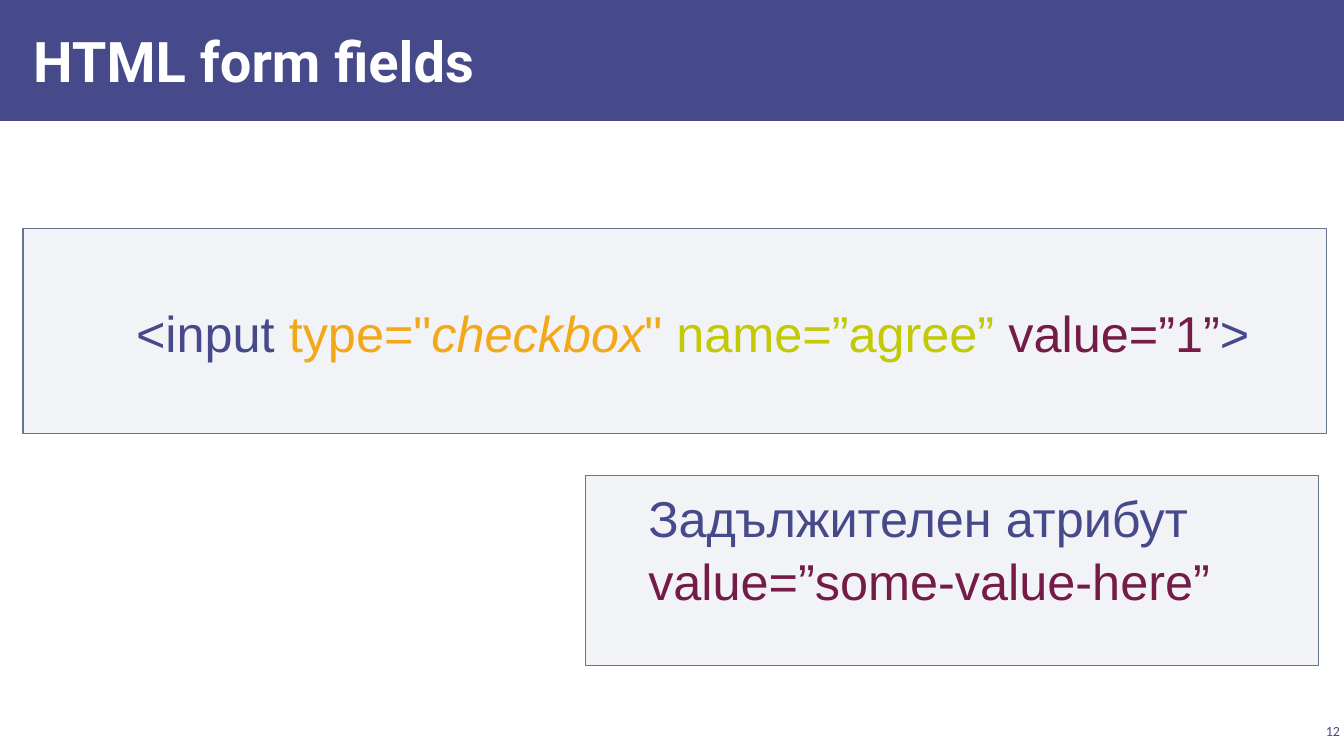
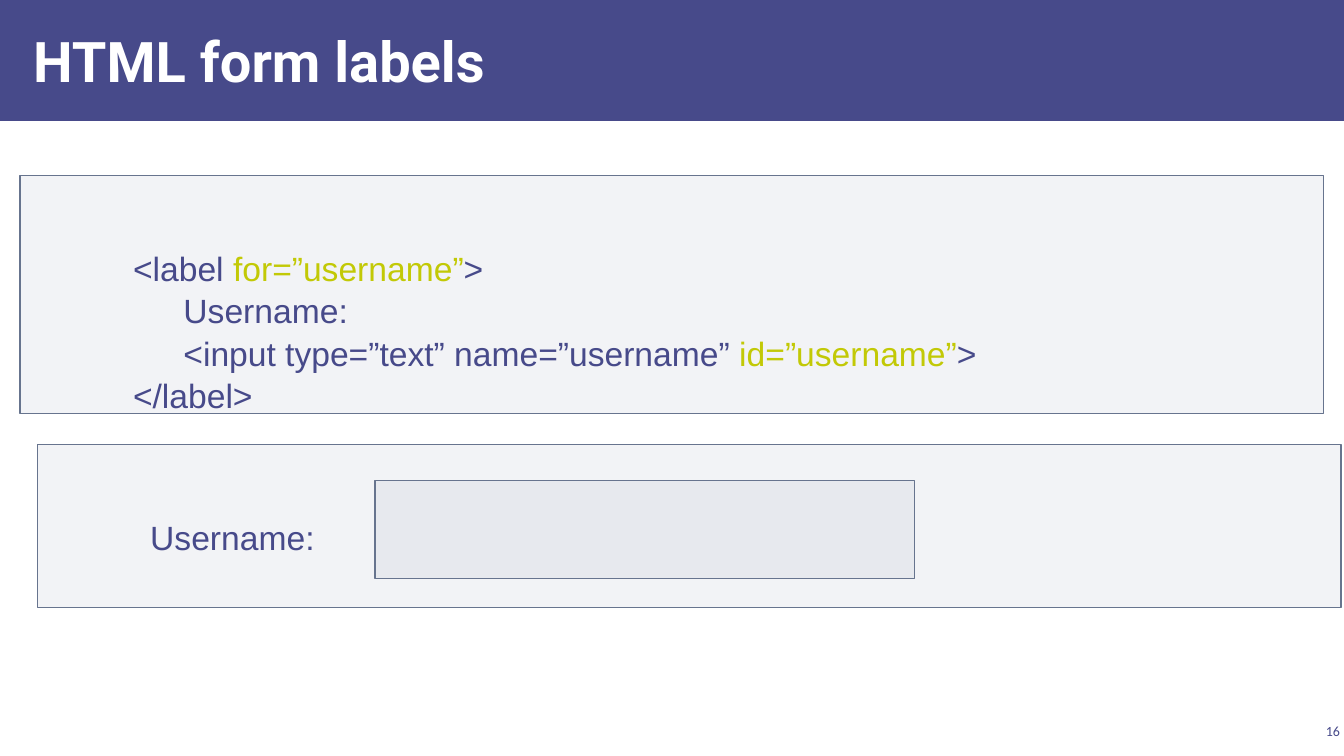
from pptx import Presentation
from pptx.dml.color import RGBColor
from pptx.enum.shapes import MSO_SHAPE
from pptx.enum.text import MSO_ANCHOR, PP_ALIGN
from pptx.oxml.ns import qn
from pptx.util import Inches, Pt
from lxml.etree import SubElement

INDIGO = RGBColor(0x47, 0x4A, 0x8A)
WHITE = RGBColor(0xFF, 0xFF, 0xFF)
ORANGE = RGBColor(0xF2, 0xA8, 0x18)
LIME = RGBColor(0xC2, 0xC9, 0x06)
PLUM = RGBColor(0x74, 0x1B, 0x47)
PANEL = RGBColor(0xAC, 0xB4, 0xC3)
BORDER = RGBColor(0x67, 0x74, 0x8E)
PANEL_OPACITY = 15000

PANEL_WIDTH = 12.93
CODE_TOP = 0.7
NOTE_TOP = 0.08

# Each line of a panel is (indent, [(text, colour, italic), ...]).
SLIDES = [
    {
        "title": "HTML form fields",
        "number": "12",
        "panels": [
            {"at": (0.23, 2.27, PANEL_WIDTH, 2.03), "top": CODE_TOP, "size": 36, "lines": [
                (1, [("<input ", INDIGO, False), ('type="', ORANGE, False),
                     ("checkbox", ORANGE, True), ('" ', ORANGE, False),
                     ("name=”agree” ", LIME, False), ("value=”1”", PLUM, False),
                     (">", INDIGO, False)]),
            ]},
            {"at": (5.81, 4.72, 7.27, 1.88), "top": NOTE_TOP, "size": 36, "lines": [
                (0.5, [("Задължителен атрибут", INDIGO, False)]),
                (0.5, [("value=”some-value-here”", PLUM, False)]),
            ]},
        ],
    },
    {
        "title": "HTML form labels",
        "number": "16",
        "panels": [
            {"at": (0.2, 1.74, PANEL_WIDTH, 2.36), "top": CODE_TOP, "size": 24, "lines": [
                (1, [("<label ", INDIGO, False), ("for=”username”", LIME, False),
                     (">", INDIGO, False)]),
                (1.5, [("Username:", INDIGO, False)]),
                (1.5, [("<input type=”text” name=”username” ", INDIGO, False),
                       ("id=”username”", LIME, False), (">", INDIGO, False)]),
                (1, [("</label>", INDIGO, False)]),
            ]},
            {"at": (0.37, 4.41, PANEL_WIDTH, 1.62), "top": CODE_TOP, "size": 24, "lines": [
                (1, [("Username:", INDIGO, False)]),
            ]},
            {"at": (3.72, 4.77, 5.35, 0.97), "top": NOTE_TOP, "size": 24, "lines": []},
        ],
    },
]


def set_insets(frame, side, top, bottom):
    frame.margin_left = frame.margin_right = Inches(side)
    frame.margin_top, frame.margin_bottom = Inches(top), Inches(bottom)
    frame.word_wrap = True


def add_rectangle(slide, at, colour):
    rectangle = slide.shapes.add_shape(MSO_SHAPE.RECTANGLE, *map(Inches, at))
    rectangle.shadow.inherit = False
    rectangle.fill.solid()
    rectangle.fill.fore_color.rgb = colour
    rectangle.line.fill.background()
    return rectangle


def add_label(slide, at, text, font_name, size, colour, side, bold=False,
              align=PP_ALIGN.LEFT):
    frame = slide.shapes.add_textbox(*map(Inches, at)).text_frame
    set_insets(frame, side, 0.04, 0.04)
    frame.vertical_anchor = MSO_ANCHOR.MIDDLE
    paragraph = frame.paragraphs[0]
    paragraph.text = text
    paragraph.alignment = align
    font = paragraph.font
    font.name, font.size, font.bold = font_name, Pt(size), bold
    font.color.rgb = colour


def add_panel(slide, at, top, size, lines):
    panel = add_rectangle(slide, at, PANEL)
    panel.line.color.rgb = BORDER
    panel.line.width = Pt(1)
    tint = panel.fill._xPr.find(qn("a:solidFill"))[0]
    SubElement(tint, qn("a:alpha"), val=str(PANEL_OPACITY))
    frame = panel.text_frame
    set_insets(frame, 0.12, top, 0.08)
    frame.vertical_anchor = MSO_ANCHOR.TOP
    for index, (indent, pieces) in enumerate(lines):
        paragraph = frame.add_paragraph() if index else frame.paragraphs[0]
        paragraph.alignment = PP_ALIGN.LEFT
        paragraph.line_spacing = 1.05
        paragraph._p.get_or_add_pPr().set("marL", str(Inches(indent)))
        paragraph.font.name, paragraph.font.size = "Arial", Pt(size)
        for text, colour, italic in pieces:
            run = paragraph.add_run()
            run.text = text
            run.font.color.rgb = colour
            run.font.italic = italic


def add_frame(slide, title, number):
    add_rectangle(slide, (0, 0, 13.33, 1.2), INDIGO)
    add_label(slide, (0.21, 0.11, 10.4, 0.97), title, "Roboto", 40, WHITE, 0.12, bold=True)
    add_label(slide, (12.86, 7.14, 0.47, 0.22), number, "Calibri", 10, INDIGO, 0.04,
              align=PP_ALIGN.RIGHT)


def main():
    deck = Presentation()
    deck.slide_width, deck.slide_height = Inches(13.33), Inches(7.5)
    for content in SLIDES:
        slide = deck.slides.add_slide(deck.slide_layouts[6])
        add_frame(slide, content["title"], content["number"])
        for panel in content["panels"]:
            add_panel(slide, **panel)
    deck.save("out.pptx")


if __name__ == "__main__":
    main()
